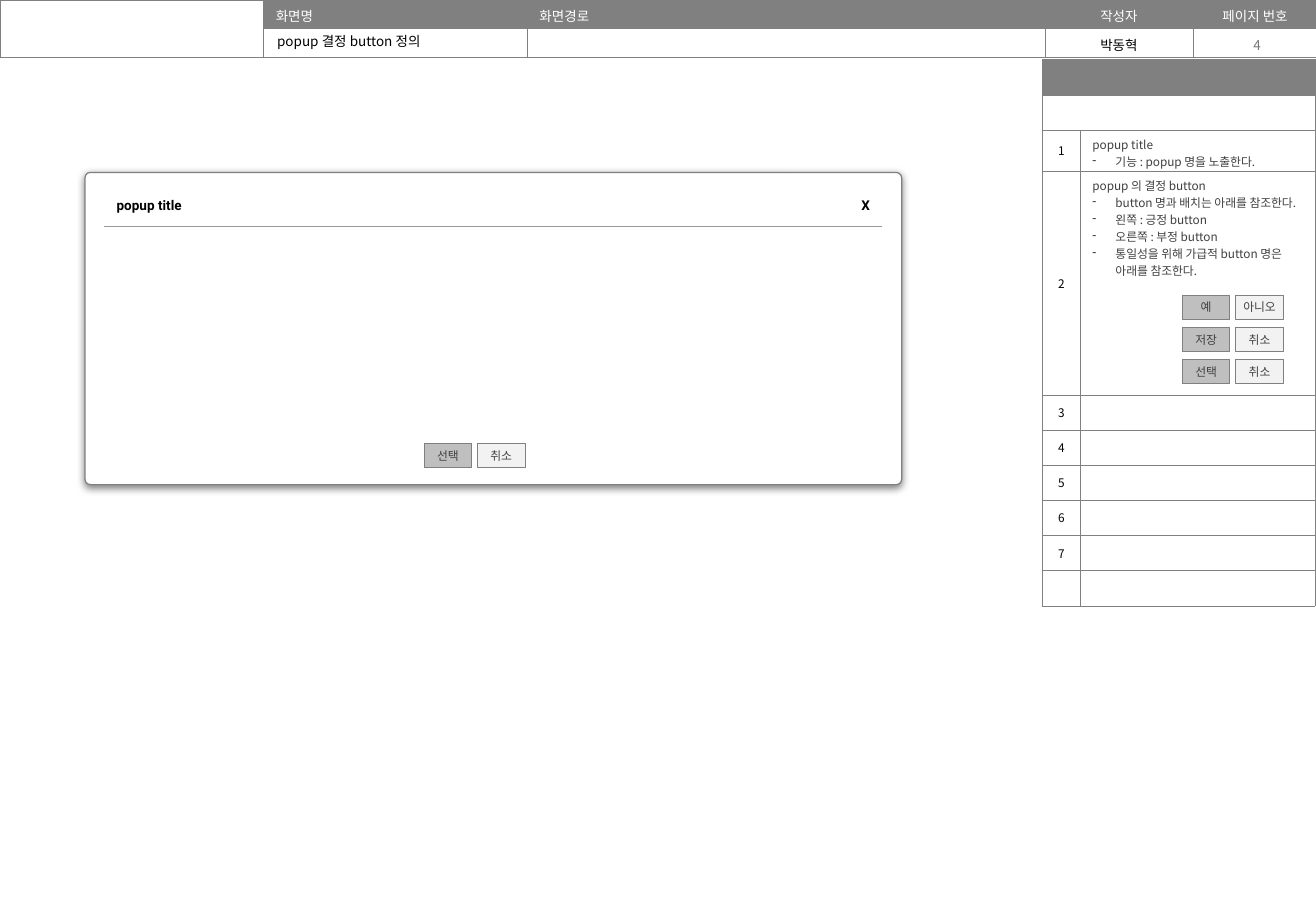
from lxml.etree import SubElement as Sub, Element as Elem
from pptx import Presentation
from pptx.dml.color import RGBColor as Rgb
from pptx.enum.shapes import MSO_SHAPE as Form
from pptx.enum.text import MSO_ANCHOR as Anchor, MSO_AUTO_SIZE as Auto, PP_ALIGN as Align
from pptx.oxml.ns import qn
from pptx.util import Inches, Pt

HUE = {"gray": "808080", "rule": "999999", "white": "FFFFFF", "black": "000000",
       "dark": "404040", "page": "797979", "yes": "BFBFBF", "no": "F2F2F2"}
KOR, LAT = "Noto Sans CJK KR", "Roboto"
PLAIN = "{2D5ABB26-0587-4C30-8999-92F81FD0307C}"  # table style without grid


def color(name):
    return Rgb.from_string(HUE[name])


def write(frame, lines, size=7, hue="black", font=KOR, bold=False, align=Align.LEFT,
          anchor=Anchor.MIDDLE, pad=(0.1, 0.05, 0.1, 0.05)):
    """Fill a text frame or cell; lines that start with "- " become bullets."""
    for side, gap in zip(("left", "top", "right", "bottom"), pad):
        setattr(frame, "margin_" + side, Inches(gap))
    frame.vertical_anchor = anchor
    body = getattr(frame, "text_frame", frame)
    body.word_wrap = True
    for i, line in enumerate(lines.split("\n")):
        para = body.add_paragraph() if i else body.paragraphs[0]
        para.alignment = align
        if line.startswith("- "):
            line = line[2:]
            props = para._p.get_or_add_pPr()
            props.set("marL", str(Inches(0.19)))
            props.set("indent", str(-Inches(0.19)))
            Sub(props, qn("a:buChar"), char="-")
        if not line:
            Sub(para._p, qn("a:endParaRPr"), sz=str(size * 100))
            continue
        run = para.add_run()
        run.text = line
        run.font.size, run.font.bold, run.font.name = Pt(size), bold, font
        run.font.color.rgb = color(hue)
        Sub(run._r.get_or_add_rPr(), qn("a:ea"), typeface=KOR)


def edge(cell, sides, hue, width):
    props = cell._tc.get_or_add_tcPr()
    for i, side in enumerate(sides):
        line = Elem(qn("a:ln" + side), w=str(Pt(width)))
        Sub(Sub(line, qn("a:solidFill")), qn("a:srgbClr"), val=HUE[hue])
        props.insert(i, line)


def grid(slide, x, y, cols, rows, sides="LRTB", hue="gray", width=0.25):
    """Add a plain table with borders on the given sides."""
    table = slide.shapes.add_table(len(rows), len(cols), Inches(x), Inches(y),
                                   Inches(sum(cols)), Inches(sum(rows))).table
    table.first_row = table.horz_banding = False
    table._tbl.tblPr.find(qn("a:tableStyleId")).text = PLAIN
    for col, size in zip(table.columns, cols):
        col.width = Inches(size)
    for row, size in zip(table.rows, rows):
        row.height = Inches(size)
    for cell in table.iter_cells():
        cell.fill.background()
        edge(cell, sides, hue, width)
    return table


def paint(item, hue):
    item.fill.solid()
    item.fill.fore_color.rgb = color(hue)


def box(slide, x, y, w, h, fill, line, adj=0):
    shape = slide.shapes.add_shape(Form.ROUNDED_RECTANGLE,
                                   Inches(x), Inches(y), Inches(w), Inches(h))
    shape.adjustments[0] = adj
    shape.shadow.inherit = False
    paint(shape, fill)
    shape.line.color.rgb = color("gray")
    shape.line.width = Pt(line)
    return shape


def pair(slide, x, y, names):
    """Positive button on the left, negative one on the right."""
    for i, (name, fill) in enumerate(zip(names, ("yes", "no"))):
        key = box(slide, x + 0.44 * i, y, 0.39, 0.2, fill, 0.5)
        write(key.text_frame, name, hue="dark", font=LAT,
              align=Align.CENTER, pad=(0, 0, 0, 0))


def header(slide, x, y):
    table = grid(slide, x, y, (2.17, 2.17, 4.26, 1.22, 1.02), (0.235, 0.235))
    rows = (("", "화면명", "화면경로", "작성자", "페이지 번호"),
            ("", "", "", "박동혁", ""))
    for r, row in enumerate(rows):
        for c, label in enumerate(row):
            cell = table.cell(r, c)
            write(cell, label, size=8, hue="black" if r else "white", anchor=Anchor.TOP,
                  align=Align.CENTER if c > 2 else Align.LEFT, pad=(0.1, 0.05, 0.1, 0.01))
            if c and not r:
                paint(cell, "gray")
    table.cell(0, 0).merge(table.cell(1, 0))
    # Screen name and page number
    title = slide.shapes.title
    title.left, title.top = Inches(x + 2.18), Inches(y + 0.22)
    title.width, title.height = Inches(2.15), Inches(0.24)
    write(title.text_frame, "popup 결정 button 정의", size=8)
    title.text_frame.auto_size = Auto.NONE
    page = slide.shapes.add_textbox(Inches(x + 9.84), Inches(y + 0.25),
                                    Inches(1.01), Inches(0.24))
    write(page.text_frame, "4", size=8, hue="page", align=Align.CENTER)


def notes(slide, x, y):
    """Description panel with numbered rows and sample buttons."""
    items = (("1", "popup title\n- 기능 : popup 명을 노출한다."),
             ("2", "popup 의 결정 button\n- button 명과 배치는 아래를 참조한다.\n"
                   "- 왼쪽 : 긍정 button\n- 오른쪽 : 부정 button\n"
                   "- 통일성을 위해 가급적 button 명은 아래를 참조한다."),
             ("3", ""), ("4", ""), ("5", ""), ("6", ""), ("7", ""), ("", ""))
    table = grid(slide, x, y, (0.31, 1.93), (0.29, 0.29, 0.34, 1.84) + (0.29,) * 6)
    for r in range(2):
        for c in range(2):
            write(table.cell(r, c), "")
        table.cell(r, 0).merge(table.cell(r, 1))
    paint(table.cell(0, 0), "gray")
    for r, (mark, info) in enumerate(items, 2):
        write(table.cell(r, 0), mark, align=Align.CENTER)
        write(table.cell(r, 1), info, hue="dark", anchor=Anchor.TOP,
              pad=(0.1, 0.05, 0.05, 0))
        for c in range(2):
            paint(table.cell(r, c), "white")
    for i, names in enumerate((("예", "아니오"), ("저장", "취소"), ("선택", "취소"))):
        pair(slide, x + 1.15, y + 1.94 + 0.265 * i, names)


def popup(slide, x, y, w, h):
    frame = box(slide, x, y, w, h, "white", 0.75, adj=0.017)
    glow = Sub(frame._element.spPr.find(qn("a:effectLst")), qn("a:outerShdw"),
               blurRad=str(Pt(4.5)), dist=str(Pt(1.5)), dir="5400000",
               algn="t", rotWithShape="0")
    Sub(Sub(glow, qn("a:srgbClr"), val=HUE["black"]), qn("a:alpha"), val="49000")
    # Title bar
    bar = grid(slide, x + 0.16, y + 0.11, (3.2, 3.2), (0.33,), "B", "rule", 0.75)
    for c, (label, align) in enumerate((("popup title", Align.LEFT), ("X", Align.RIGHT))):
        write(bar.cell(0, c), label, size=8, font=LAT, bold=True,
              align=align, pad=(0.1,) * 4)
    pair(slide, x + 2.79, y + 2.23, ("선택", "취소"))


def main():
    deck = Presentation()
    deck.slide_width, deck.slide_height = Inches(10.83), Inches(7.5)
    slide = deck.slides.add_slide(deck.slide_layouts[5])
    header(slide, 0, 0)
    notes(slide, 8.58, 0.49)
    popup(slide, 0.7, 1.42, 6.72, 2.57)
    deck.save("out.pptx")


if __name__ == "__main__":
    main()
